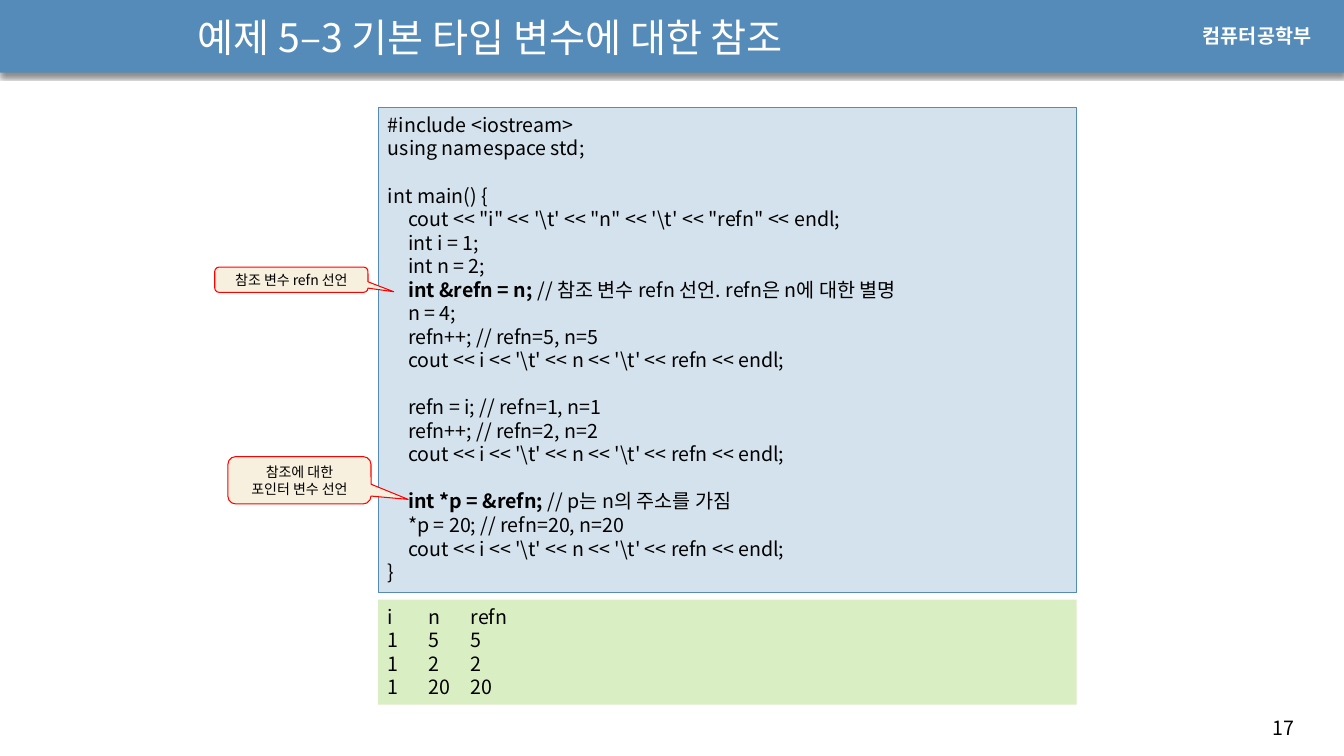
from lxml import etree
from pptx import Presentation
from pptx.dml.color import RGBColor
from pptx.enum.shapes import MSO_SHAPE
from pptx.enum.text import MSO_ANCHOR, PP_ALIGN
from pptx.oxml.ns import qn
from pptx.util import Inches, Pt

RECT = MSO_SHAPE.RECTANGLE
CALLOUT = MSO_SHAPE.ROUNDED_RECTANGULAR_CALLOUT
TOP, MIDDLE = MSO_ANCHOR.TOP, MSO_ANCHOR.MIDDLE
LEFT, CENTER = PP_ALIGN.LEFT, PP_ALIGN.CENTER

CODE = r"""#include <iostream>
using namespace std;

int main() {
    cout << "i" << '\t' << "n" << '\t' << "refn" << endl;
    int i = 1;
    int n = 2;
    int &refn = n; // 참조 변수 refn 선언. refn은 n에 대한 별명
    n = 4;
    refn++; // refn=5, n=5
    cout << i << '\t' << n << '\t' << refn << endl;

    refn = i; // refn=1, n=1
    refn++; // refn=2, n=2
    cout << i << '\t' << n << '\t' << refn << endl;

    int *p = &refn; // p는 n의 주소를 가짐
    *p = 20; // refn=20, n=20
    cout << i << '\t' << n << '\t' << refn << endl;
}"""
OUTPUT = [("i", "n", "refn"), (1, 5, 5), (1, 2, 2), (1, 20, 20)]
CALLOUTS = [
    ((2.13, 2.65, 1.52, 0.25), (0.668, 0.477, 0.167), ["참조 변수 refn 선언"]),
    ((2.26, 4.53, 1.42, 0.47), (0.76, 0.404, 0.167), ["참조에 대한", "포인터 변수 선언"]),
]


def rgb(value):
    return RGBColor.from_string(value)


class Deck:
    """Holds the style and the current slide of the lecture deck."""

    font, blue, black, white = "Noto Sans CJK KR", "558BB8", "000000", "FFFFFF"
    line_height = Pt(16.8)

    def __init__(self):
        self.prs = Presentation()
        self.prs.slide_width, self.prs.slide_height = Inches(13.33), Inches(7.5)
        self.s = self.prs.slides.add_slide(self.prs.slide_layouts[5])

    def style(self, r, size, color, bold=False, font=None):
        r.font.name = font or self.font
        r.font.size, r.font.bold = Pt(size), bold
        r.font.color.rgb = rgb(color)
        ea = etree.SubElement(r.font._element, qn("a:ea"))
        ea.set("typeface", font or self.font)

    def fill_text(self, sp, lines, size, color, align=LEFT, anchor=TOP, wrap=True, bold=False, font=None):
        tf = sp.text_frame
        tf.word_wrap, tf.vertical_anchor = wrap, anchor
        tf.text = "\n".join(lines)
        for p in tf.paragraphs:
            p.alignment = align
            for r in p.runs:
                self.style(r, size, color, bold, font)

    def title(self, text, box):
        sp = self.s.shapes.title
        sp.left, sp.top, sp.width, sp.height = map(Inches, box)
        self.fill_text(sp, [text], 28, self.white, anchor=MIDDLE)
        self.s.shapes._spTree.append(sp._element)

    def label(self, text, box, color, **style):
        sp = self.s.shapes.add_textbox(*map(Inches, box))
        self.fill_text(sp, [text], 14, color, wrap=False, **style)

    def shape(self, kind, box, fill, line=None):
        sp = self.s.shapes.add_shape(kind, *map(Inches, box))
        sp.fill.solid()
        sp.fill.fore_color.rgb = rgb(fill)
        if line:
            sp.line.color.rgb, sp.line.width = rgb(line), Pt(0.75)
        else:
            sp.line.fill.background()
        sp.shadow.inherit = False
        return sp

    def header(self, box):
        sp = self.shape(RECT, box, self.blue)
        effects = sp._element.spPr.find(qn("a:effectLst"))
        shadow = etree.SubElement(effects, qn("a:outerShdw"), blurRad=str(Pt(3)),
                                  dist=str(Pt(2.4)), dir="5400000", rotWithShape="0")
        color = etree.SubElement(shadow, qn("a:srgbClr"), val=self.black)
        etree.SubElement(color, qn("a:alpha"), val="45000")

    def callout(self, box, adjustments, lines):
        sp = self.shape(CALLOUT, box, "F7F0DE", "FF0000")
        for i, value in enumerate(adjustments):
            sp.adjustments[i] = value
        self.fill_text(sp, lines, 10, self.black, CENTER, MIDDLE)

    def listing(self, box, lines, fill, tabs, line=None):
        sp = self.shape(RECT, box, fill, line)
        self.fill_text(sp, [text for text in lines if text], 14, self.black)
        gaps = [i > 0 and not lines[i - 1] for i, text in enumerate(lines) if text]
        for p, gap in zip(sp.text_frame.paragraphs, gaps):
            p.line_spacing = self.line_height
            if gap:
                p.space_before = self.line_height
            stops = etree.SubElement(p._p.get_or_add_pPr(), qn("a:tabLst"))
            for tab in tabs:
                etree.SubElement(stops, qn("a:tab"), pos=str(Inches(tab)), algn="l")
            if p.text.startswith(("\tint &", "\tint *")):
                statement, mark, comment = p.text.partition("//")
                p.runs[0].text, p.runs[0].font.bold = statement, True
                r = p.add_run()
                r.text = mark + comment
                self.style(r, 14, self.black)


def main():
    deck = Deck()
    deck.header((0, -0.01, 13.33, 0.73))
    deck.label("17", (12.52, 7.05, 0.71, 0.34), deck.black)
    deck.label("컴퓨터공학부", (11.83, 0.19, 1.37, 0.34), deck.white, bold=True, font="Arial")
    deck.title("예제 5–3 기본 타입 변수에 대한 참조", (1.86, 0.05, 7.4, 0.63))
    code = CODE.replace("    ", "\t").split("\n")
    deck.listing((3.75, 1.07, 6.93, 4.81), code, "D4E2ED", [0.2], deck.blue)
    rows = ["\t".join(map(str, row)) for row in OUTPUT]
    deck.listing((3.75, 5.95, 6.93, 1.04), rows, "DAEEC4", [0.4, 0.82])
    for box, adjustments, lines in CALLOUTS:
        deck.callout(box, adjustments, lines)
    deck.prs.save("out.pptx")


if __name__ == "__main__":
    main()
